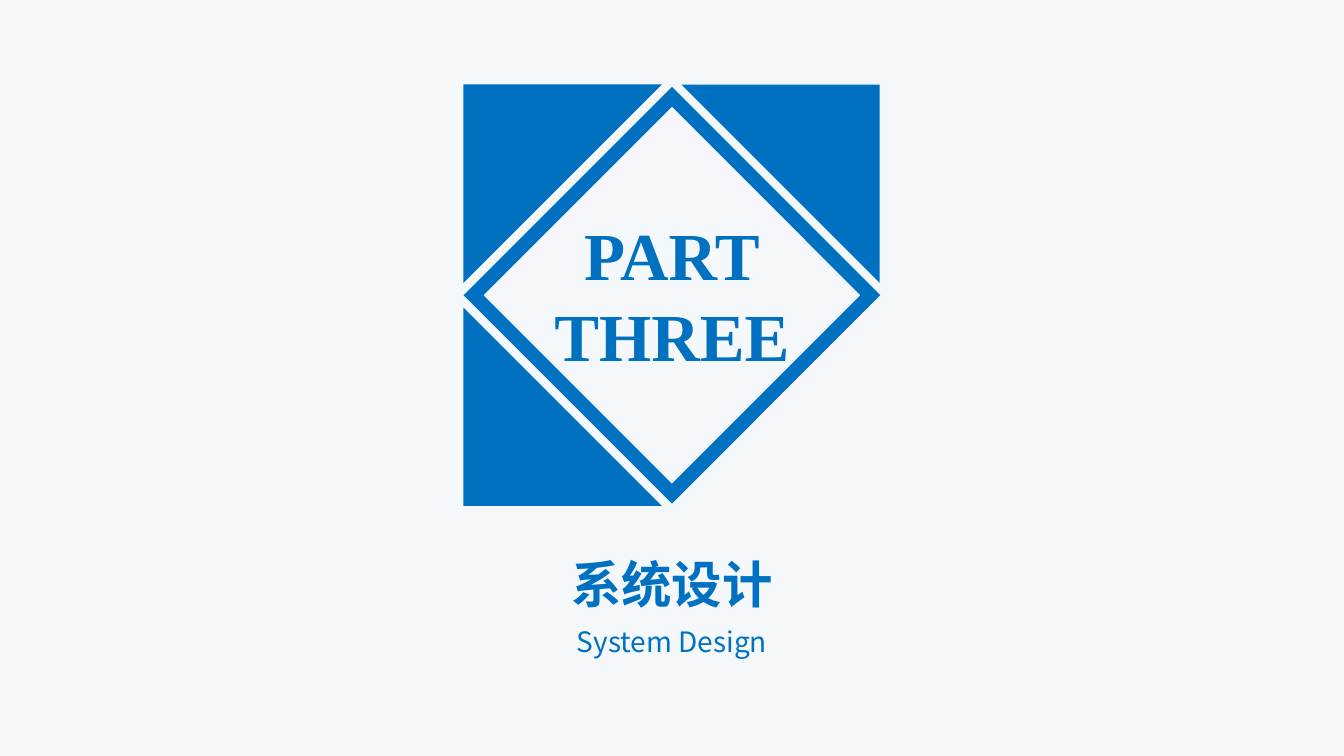
from lxml import etree
from pptx import Presentation
from pptx.dml.color import RGBColor
from pptx.enum import shapes, text
from pptx.oxml import ns
from pptx.util import Cm, Pt

BLUE = RGBColor(0x00, 0x70, 0xC0)
PALE = RGBColor(0xF5, 0xF8, 0xFB)
SANS = "Noto Sans CJK SC"
SERIF = "Times New Roman"

SLIDE_WIDTH, SLIDE_HEIGHT = 33.87, 19.05
DIAMOND_TOP, DIAMOND_SIDE = 2.44, 10
CORNER_SIDE = 5
LEFT, RIGHT, TOP, BOTTOM = 11.68, 17.17, 2.13, 7.75

CORNERS = [(LEFT, BOTTOM, 0), (LEFT, TOP, 90), (RIGHT, TOP, 180)]

LABELS = [
    (["系统设计"], 13.82, 15.14, 1.8, SANS, 36, True),
    (["System Design"], 15.6, 10.46, 1.12, SANS, 20, False),
    (["PART", "THREE"], 5.26, 10.46, 4.37, SERIF, 48, True),
]


def centred(width):
    return Cm((SLIDE_WIDTH - width) / 2)


def add_diamond(slide):
    diamond = slide.shapes.add_shape(
        shapes.MSO_SHAPE.DIAMOND, centred(DIAMOND_SIDE), Cm(DIAMOND_TOP),
        Cm(DIAMOND_SIDE), Cm(DIAMOND_SIDE))
    diamond.shadow.inherit = False
    diamond.fill.background()
    diamond.line.color.rgb = BLUE
    diamond.line.width = Pt(10)
    outline = diamond._element.spPr.find(ns.qn("a:ln"))
    etree.SubElement(outline, ns.qn("a:miter"), lim="800000")


def add_corner(slide, left, top, rotation):
    corner = slide.shapes.add_shape(
        shapes.MSO_SHAPE.RIGHT_TRIANGLE, Cm(left), Cm(top),
        Cm(CORNER_SIDE), Cm(CORNER_SIDE))
    corner.rotation = rotation
    corner.shadow.inherit = False
    corner.fill.solid()
    corner.fill.fore_color.rgb = BLUE
    corner.line.fill.background()


def add_label(slide, lines, top, width, height, typeface, size, bold):
    box = slide.shapes.add_textbox(centred(width), Cm(top), Cm(width), Cm(height))
    frame = box.text_frame
    frame.word_wrap = True
    frame.auto_size = text.MSO_AUTO_SIZE.SHAPE_TO_FIT_TEXT
    frame.text = "\n".join(lines)
    for paragraph in frame.paragraphs:
        paragraph.alignment = text.PP_ALIGN.CENTER
        font = paragraph.font
        font.name = typeface
        font.size = Pt(size)
        font.bold = bold
        font.color.rgb = BLUE
        properties = paragraph._p.pPr.find(ns.qn("a:defRPr"))
        etree.SubElement(properties, ns.qn("a:ea"), typeface=typeface)


def main():
    presentation = Presentation()
    presentation.slide_width = Cm(SLIDE_WIDTH)
    presentation.slide_height = Cm(SLIDE_HEIGHT)
    slide = presentation.slides.add_slide(presentation.slide_layouts[6])
    slide.background.fill.solid()
    slide.background.fill.fore_color.rgb = PALE

    add_diamond(slide)
    for label in LABELS:
        add_label(slide, *label)
    for corner in CORNERS:
        add_corner(slide, *corner)
    presentation.save("out.pptx")


if __name__ == "__main__":
    main()
